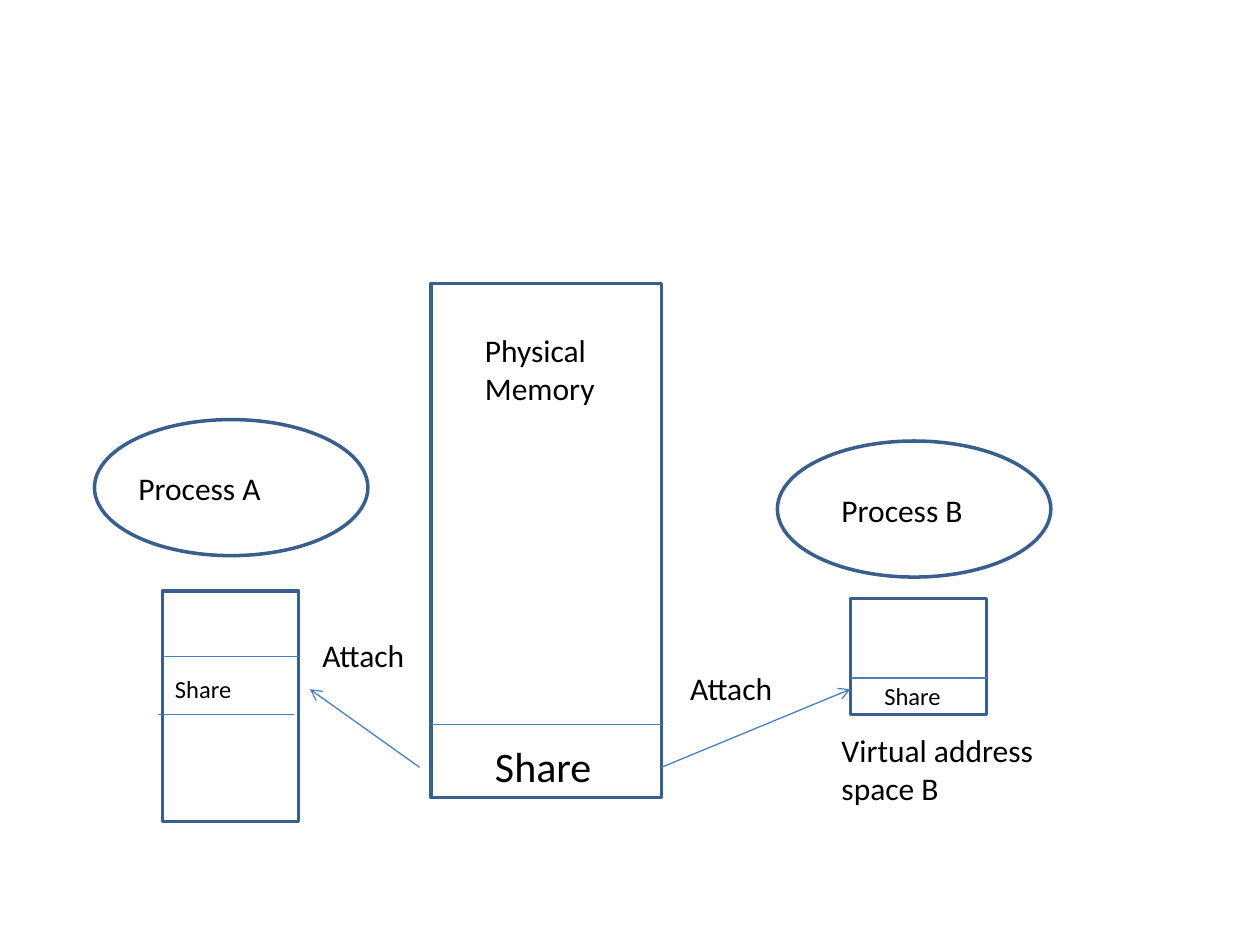
from lxml import etree
from pptx import Presentation
from pptx.dml.color import RGBColor
from pptx.enum.shapes import MSO_CONNECTOR, MSO_SHAPE
from pptx.enum.text import MSO_AUTO_SIZE
from pptx.oxml.ns import qn
from pptx.util import Inches, Pt

COLORS = {"paper": "FFFFFF", "outline": "3A5F8C", "link": "4B7EBC", "text": "000000"}


def write_text(frame, text, size=18, font="Calibri", color="text"):
    """Put formatted text into a text frame."""
    run = frame.paragraphs[0].add_run()
    run.text = text
    run.font.size = Pt(size)
    run.font.name = font
    run.font.color.rgb = RGBColor.from_string(COLORS[color])


class Diagram:
    """Draws diagram elements on one slide in a shared style."""

    def __init__(self, slide):
        self.slide = slide

    def outline(self, kind, left, top, width, height, filled=False):
        """Add an outlined preset shape."""
        shape = self.slide.shapes.add_shape(
            kind, Inches(left), Inches(top), Inches(width), Inches(height))
        shape.shadow.inherit = False
        if filled:
            shape.fill.solid()
            shape.fill.fore_color.rgb = RGBColor.from_string(COLORS["paper"])
        else:
            shape.fill.background()
        shape.line.color.rgb = RGBColor.from_string(COLORS["outline"])
        shape.line.width = Pt(2)

    def label(self, text, left, top, width, height, size=18):
        """Add a wrapped text label."""
        box = self.slide.shapes.add_textbox(
            Inches(left), Inches(top), Inches(width), Inches(height))
        box.text_frame.word_wrap = True
        box.text_frame.auto_size = MSO_AUTO_SIZE.SHAPE_TO_FIT_TEXT
        write_text(box.text_frame, text, size=size)

    def link(self, start, end, arrow=False):
        """Add a thin straight line, optionally with an arrowhead at its end."""
        line = self.slide.shapes.add_connector(
            MSO_CONNECTOR.STRAIGHT, *map(Inches, start + end))
        line.line.color.rgb = RGBColor.from_string(COLORS["link"])
        line.line.width = Pt(0.75)
        if arrow:
            etree.SubElement(line.line._get_or_add_ln(), qn("a:tailEnd"), type="arrow")
        etree.SubElement(line._element.spPr, qn("a:effectLst"))


def build():
    """Build the shared memory slide."""
    deck = Presentation()
    deck.slide_width, deck.slide_height = Inches(10), Inches(7.5)
    diagram = Diagram(deck.slides.add_slide(deck.slide_layouts[6]))

    diagram.outline(MSO_SHAPE.RECTANGLE, 3.42, 2.25, 1.83, 4.08, filled=True)
    for left, top in ((0.75, 3.33), (6.17, 3.5)):
        diagram.outline(MSO_SHAPE.OVAL, left, top, 2.17, 1.08)
    diagram.outline(MSO_SHAPE.RECTANGLE, 1.29, 4.69, 1.08, 1.83, filled=True)
    diagram.outline(MSO_SHAPE.RECTANGLE, 6.75, 4.75, 1.08, 0.92)

    for left, y, width in ((3.42, 5.75, 1.83), (1.29, 5.21, 1.08),
                           (1.25, 5.67, 1.08), (6.75, 5.38, 1.08)):
        diagram.link((left, y), (left + width, y))
    for start_x, end_x in ((3.33, 2.46), (5.25, 6.75)):
        diagram.link((start_x, 6.09), (end_x, 5.47), arrow=True)

    diagram.label("Process A", 1, 3.67, 1.58, 0.4)
    diagram.label("Process B", 6.58, 3.85, 1.58, 0.4)
    diagram.label("Physical Memory", 3.75, 2.58, 1.33, 0.71)
    diagram.label("Virtual address space B", 6.58, 5.75, 2.08, 0.71)
    for left, top in ((1.29, 5.3), (6.92, 5.36)):
        diagram.label("Share", left, top, 1.75, 0.34, size=14)
    diagram.label("Share", 3.83, 5.83, 1.75, 0.5, size=24)
    for left, top in ((2.46, 5), (5.38, 5.26)):
        diagram.label("Attach ", left, top, 0.96, 0.4)

    deck.save("out.pptx")


build()
